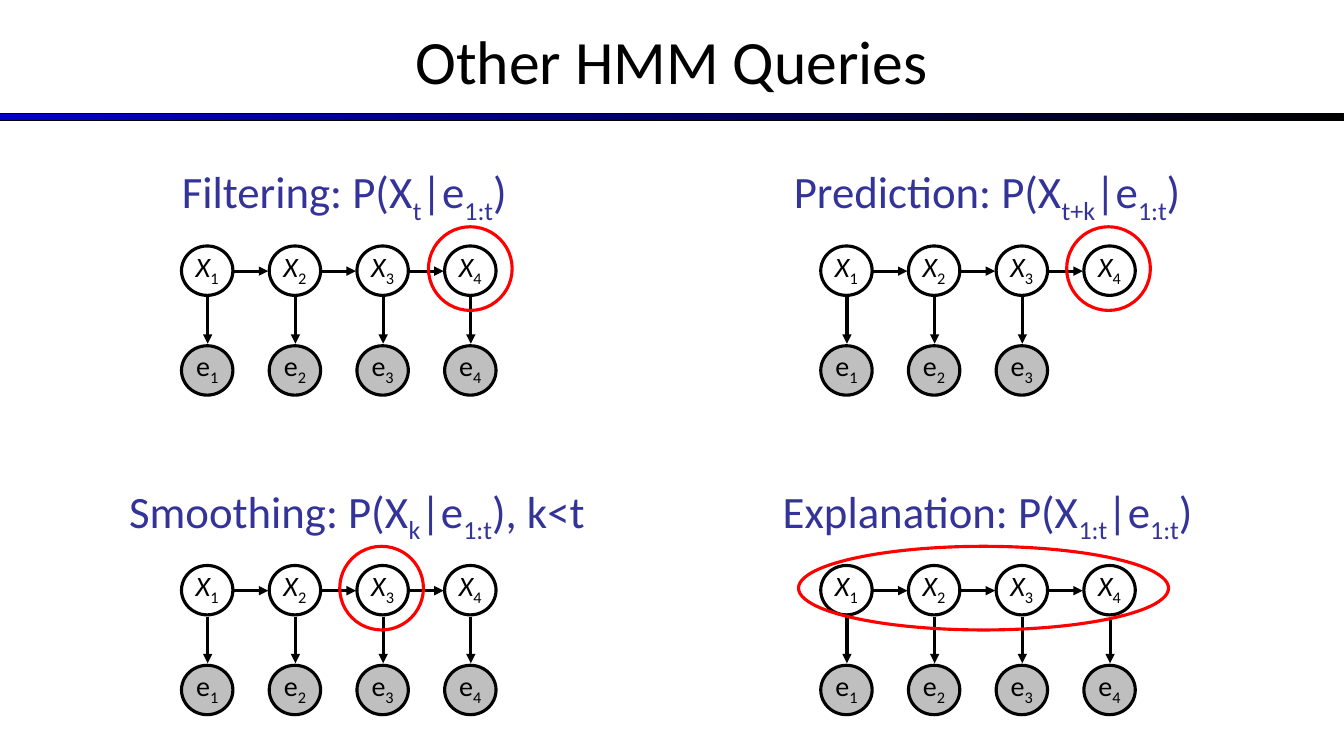
from pptx import Presentation
from pptx.dml.color import RGBColor
from pptx.enum import shapes, text
from pptx.oxml import ns
from pptx.util import Inches, Pt
from lxml import etree

COLORS = {"black": "000000", "white": "FFFFFF", "evidence": "BFBFBF",
          "heading": "333399", "query": "FF0000", "bar": "0000CC"}
FONT = "Calibri"
PITCH, DROP = 0.87, 0.99          # state to state, state to evidence
NODE_W, NODE_H = 0.51, 0.49

# Heading spans alternate between normal text and subscript.
# Offsets are measured from the first state: (left, width).
QUERIES = [
    {"origin": (1.8, 2.44), "evidence": 4, "heading_at": (-0.3, 3.83), "ring_at": (2.45, 0.83),
     "heading": ["Filtering: P(X", "t", "|e", "1:t", ")"]},
    {"origin": (8.14, 2.44), "evidence": 3, "heading_at": (-0.56, 4.42), "ring_at": (2.44, 0.83),
     "heading": ["Prediction: P(X", "t+k", "|e", "1:t", ")"]},
    {"origin": (1.8, 5.61), "evidence": 4, "heading_at": (-0.8, 5.08), "ring_at": (1.57, 0.83),
     "heading": ["Smoothing: P(X", "k", "|e", "1:t", "), k<t"]},
    {"origin": (8.14, 5.61), "evidence": 4, "heading_at": (-0.97, 5.25), "ring_at": (-0.22, 3.67),
     "heading": ["Explanation: P(X", "1:t", "|e", "1:t", ")"]},
]


def rgb(name):
    return RGBColor.from_string(COLORS[name])


def write(shape, spans, size, color, anchor, wrap=True, top=0.05, italic=False):
    """Fill a shape with one centred line whose odd spans are subscripts."""
    frame = shape.text_frame
    frame_format = {
        "word_wrap": wrap, "vertical_anchor": anchor,
        "margin_left": Inches(0.1), "margin_right": Inches(0.1),
        "margin_top": Inches(top), "margin_bottom": Inches(0.05),
    }
    for name, value in frame_format.items():
        setattr(frame, name, value)
    para = frame.paragraphs[0]
    para.alignment = text.PP_ALIGN.CENTER
    for index, words in enumerate(spans):
        subscript = index % 2 == 1
        span = para.add_run()
        span.text = words
        span_format = {"name": FONT, "size": Pt(size), "italic": italic and not subscript}
        for name, value in span_format.items():
            setattr(span.font, name, value)
        span.font.color.rgb = rgb(color)
        if subscript:
            span._r.get_or_add_rPr().set("baseline", "-25000")


def add_text(page, box, spans, size, color, anchor):
    label = page.shapes.add_textbox(*map(Inches, box))
    write(label, spans, size, color, anchor)


def add_ellipse(parent, box, line, fill=None):
    ellipse = parent.shapes.add_shape(shapes.MSO_SHAPE.OVAL, *map(Inches, box))
    ellipse.shadow.inherit = False
    if fill:
        ellipse.fill.solid()
        ellipse.fill.fore_color.rgb = rgb(fill)
    else:
        ellipse.fill.background()
    ellipse.line.color.rgb = rgb(line)
    ellipse.line.width = Pt(2.25)
    return ellipse


def add_node(chain, left, top, letter, number, fill):
    node = add_ellipse(chain, (left, top, NODE_W, NODE_H), "black", fill)
    write(node, [letter, str(number)], 20, "black", text.MSO_ANCHOR.MIDDLE,
          wrap=False, top=0, italic=letter == "X")


def add_arrow(chain, x1, y1, x2, y2):
    arrow = chain.shapes.add_connector(
        shapes.MSO_CONNECTOR.STRAIGHT, *map(Inches, (x1, y1, x2, y2)))
    arrow.line.color.rgb = rgb("black")
    arrow.line.width = Pt(2.25)
    properties = arrow._element.spPr
    line = properties.find(ns.qn("a:ln"))
    etree.SubElement(line, ns.qn("a:tailEnd"), type="triangle")
    etree.SubElement(properties, ns.qn("a:effectLst"))


def add_header(page, width):
    # Gradient bar
    bar = page.shapes.add_shape(shapes.MSO_SHAPE.RECTANGLE, 0, Inches(1.13),
                                Inches(width), Inches(0.07))
    bar.shadow.inherit = False
    bar.fill.gradient()
    bar.fill.gradient_angle = 0
    for stop, position, color in zip(bar.fill.gradient_stops, (0, 1), ("bar", "black")):
        stop.position = position
        stop.color.rgb = rgb(color)
    bar.line.color.rgb = rgb("black")
    bar.line.width = Pt(0.75)
    # Title
    add_text(page, (0, -0.03, width, 1.25), ["Other HMM Queries"], 44, "black",
             text.MSO_ANCHOR.MIDDLE)


def add_chain(page, left, top, evidence_count, state_count=4):
    """Draw the row of states with the evidence nodes below it."""
    chain = page.shapes.add_group_shape()
    for index in range(state_count):
        x = left + index * PITCH
        add_node(chain, x, top, "X", index + 1, "white")
        if index < state_count - 1:
            add_arrow(chain, x + 0.52, top + 0.25, x + 0.86, top + 0.25)
        if index < evidence_count:
            add_node(chain, x, top + DROP, "e", index + 1, "evidence")
            add_arrow(chain, x + 0.26, top + 0.51, x + 0.26, top + 0.97)


def add_query(page, query):
    left, top = query["origin"]
    # Heading
    offset, width = query["heading_at"]
    add_text(page, (left + offset, top - 0.86, width, 0.67), query["heading"], 32,
             "heading", text.MSO_ANCHOR.TOP)
    # Model
    add_chain(page, left, top, query["evidence"])
    # Ring around the queried states
    offset, width = query["ring_at"]
    add_ellipse(page, (left + offset, top - 0.19, width, 0.83), "query")


def main():
    deck = Presentation()
    deck.slide_width, deck.slide_height = Inches(13.33), Inches(7.5)
    page = deck.slides.add_slide(deck.slide_layouts[6])
    add_header(page, 13.33)
    for query in QUERIES:
        add_query(page, query)
    deck.save("out.pptx")


if __name__ == "__main__":
    main()
